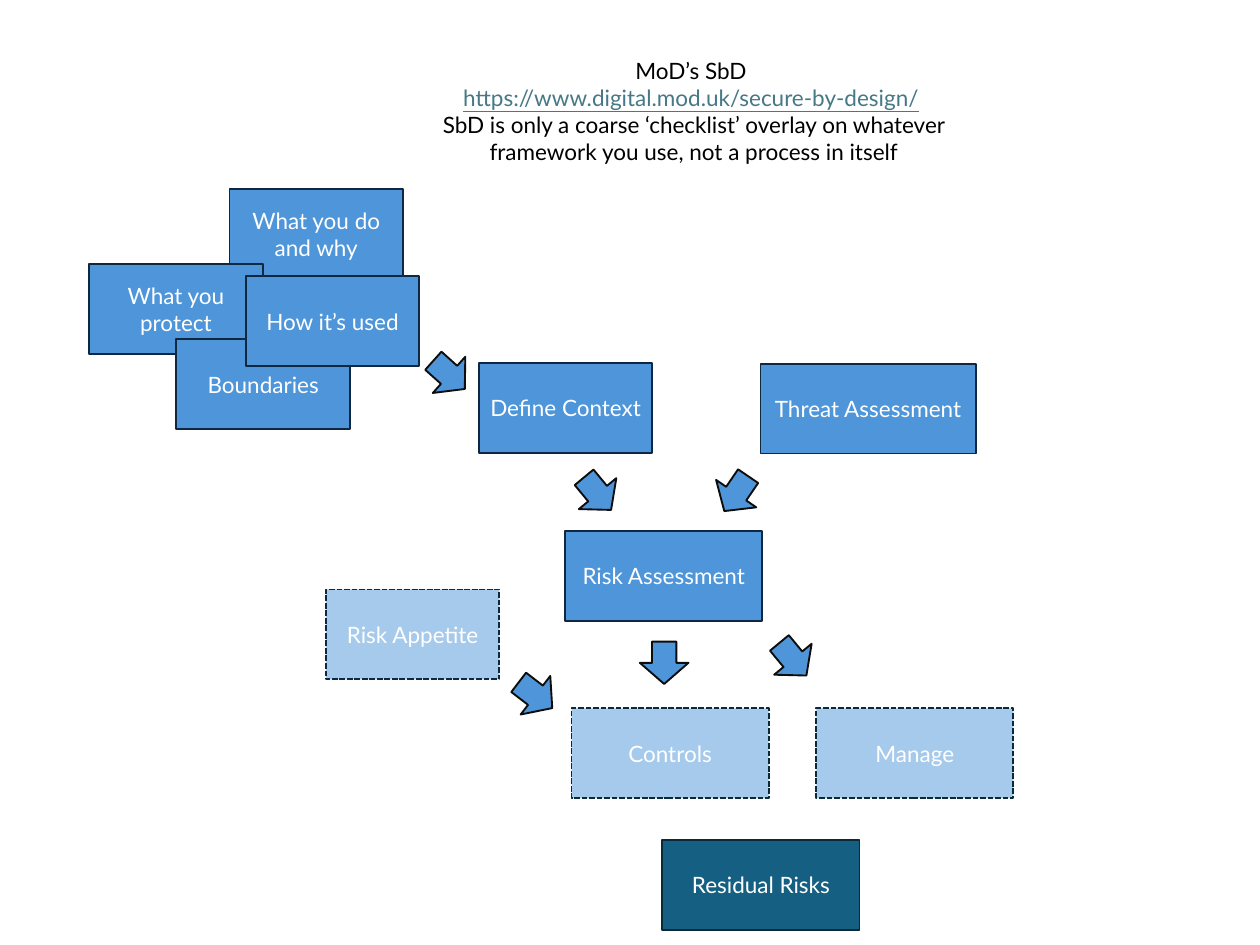
from pptx import Presentation
from pptx.dml.color import RGBColor
from pptx.enum.dml import MSO_LINE
from pptx.enum.shapes import MSO_SHAPE
from pptx.enum.text import MSO_ANCHOR, MSO_AUTO_SIZE, PP_ALIGN
from pptx.util import Inches, Pt

RECTANGLE, DOWN_ARROW = MSO_SHAPE.RECTANGLE, MSO_SHAPE.DOWN_ARROW
DASH = MSO_LINE.SQUARE_DOT
CENTER, MIDDLE = PP_ALIGN.CENTER, MSO_ANCHOR.MIDDLE
GROW = MSO_AUTO_SIZE.SHAPE_TO_FIT_TEXT

COLORS = {
    "blue": "4E95D9", "pale": "A6CAEC", "teal": "156082",
    "navy": "0E2841", "ink": "092A39", "outline": "0D0D0D",
    "link": "467886", "black": "000000", "white": "FFFFFF",
}
STYLES = {
    "step": {"fill": "blue", "line": "navy", "dash": None},
    "appetite": {"fill": "pale", "line": "navy", "dash": DASH},
    "response": {"fill": "pale", "line": "ink", "dash": DASH},
    "result": {"fill": "teal", "line": "ink", "dash": None},
    "arrow": {"fill": "blue", "line": "outline", "dash": None},
}
FONT = {"name": "Lato", "size": Pt(18)}

NARROW, MEDIUM, WIDE = 1.93, 2.19, 2.39
BOX_HEIGHT = 1
ARROW_WIDTH, ARROW_HEIGHT = 0.54, 0.47

HEADING = [
    [("MoD’s SbD ", "black", False)],
    [("https://www.digital.mod.uk/secure-by-design/", "link", True),
     (" ", "black", False)],
    [("SbD is only a coarse ‘checklist’ overlay on whatever ", "black", False)],
    [("framework you use, not a process in itself", "black", False)],
]
BOXES = [
    ("Threat Assessment", 8.45, 4.04, WIDE, "step"),
    ("Risk Assessment", 6.28, 5.9, MEDIUM, "step"),
    ("Define Context", 5.32, 4.03, NARROW, "step"),
    ("Controls", 6.35, 7.87, MEDIUM, "response"),
    ("Manage", 9.07, 7.87, MEDIUM, "response"),
    ("What you do and why", 2.55, 2.1, NARROW, "step"),
    ("What you protect", 0.99, 2.93, NARROW, "step"),
    ("Boundaries", 1.96, 3.77, NARROW, "step"),
    ("How it’s used", 2.73, 3.07, NARROW, "step"),
    ("Risk Appetite", 3.62, 6.55, NARROW, "appetite"),
    ("Residual Risks", 7.36, 9.33, MEDIUM, "result"),
]
ARROWS = [
    (6.37, 5.25, 320.4),
    (7.91, 5.25, 34.3),
    (7.11, 7.13, 0),
    (8.54, 7.09, 320.4),
    (5.68, 7.49, 307.5),
    (4.72, 3.93, 311.9),
]


def color(name):
    return RGBColor.from_string(COLORS[name])


def add_run(paragraph, text, color_name, underline=None):
    paragraph.alignment = CENTER
    run = paragraph.add_run()
    run.text = text
    for attribute, value in {**FONT, "underline": underline}.items():
        setattr(run.font, attribute, value)
    run.font.color.rgb = color(color_name)


def add_styled_shape(slide, kind, left, top, width, height, style_name):
    style = STYLES[style_name]
    shape = slide.shapes.add_shape(
        kind, Inches(left), Inches(top), Inches(width), Inches(height))
    shape.shadow.inherit = False
    shape.fill.solid()
    shape.fill.fore_color.rgb = color(style["fill"])
    shape.line.color.rgb = color(style["line"])
    shape.line.width = Pt(1.5)
    if style["dash"]:
        shape.line.dash_style = style["dash"]
    return shape


def add_heading(slide):
    text_box = slide.shapes.add_textbox(
        Inches(4.81), Inches(0.58), Inches(5.8), Inches(1.31))
    frame = text_box.text_frame
    frame.word_wrap = False
    frame.auto_size = GROW
    for index, runs in enumerate(HEADING):
        paragraph = frame.add_paragraph() if index else frame.paragraphs[0]
        for text, color_name, underline in runs:
            add_run(paragraph, text, color_name, underline)


def main():
    presentation = Presentation()
    presentation.slide_width = Inches(14)
    presentation.slide_height = Inches(10.5)
    slide = presentation.slides.add_slide(presentation.slide_layouts[6])

    add_heading(slide)
    for text, left, top, width, style_name in BOXES:
        box = add_styled_shape(
            slide, RECTANGLE, left, top, width, BOX_HEIGHT, style_name)
        box.text_frame.vertical_anchor = MIDDLE
        add_run(box.text_frame.paragraphs[0], text, "white")
    for left, top, rotation in ARROWS:
        arrow = add_styled_shape(
            slide, DOWN_ARROW, left, top, ARROW_WIDTH, ARROW_HEIGHT, "arrow")
        arrow.rotation = rotation

    presentation.save("out.pptx")


if __name__ == "__main__":
    main()
